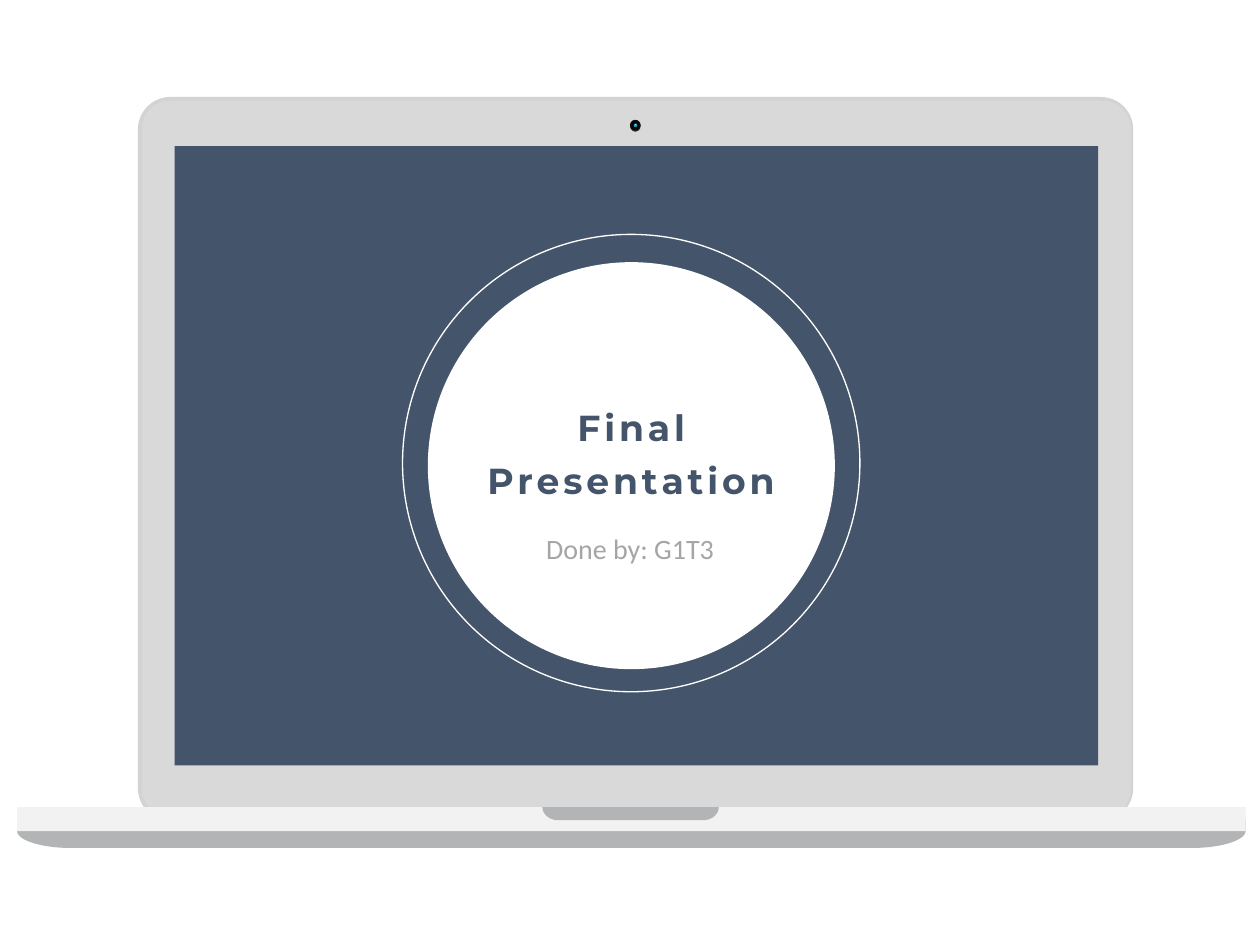
from math import cos, pi, sin

from pptx import Presentation
from pptx.dml.color import RGBColor
from pptx.enum.shapes import MSO_SHAPE
from pptx.enum.text import MSO_ANCHOR, MSO_AUTO_SIZE, PP_ALIGN
from pptx.util import Cm, Pt

COLORS = {
    "white": "FFFFFF",
    "navy": "44546A",
    "rim": "D2D3D5",
    "lid": "D9D9D9",
    "deck": "F2F2F2",
    "edge": "B3B4B5",
    "text": "A5A5A5",
    "bezel": "2C2C2C",
    "lens": "0A0A0A",
    "pupil": "000000",
    "glow": "2C99B4",
}


def color(name):
    return RGBColor.from_string(COLORS[name])


def paint(shape, fill):
    shape.shadow.inherit = False
    shape.fill.solid()
    shape.fill.fore_color.rgb = color(fill)
    shape.line.fill.background()


def block(slide, kind, box, fill, radius=0):
    shape = slide.shapes.add_shape(kind, *map(Cm, box))
    if radius:
        shape.adjustments[0] = radius / min(box[2:])
    paint(shape, fill)


def ring(slide, box, line, width):
    shape = slide.shapes.add_shape(MSO_SHAPE.OVAL, *map(Cm, box))
    shape.shadow.inherit = False
    shape.fill.background()
    shape.line.color.rgb = color(line)
    shape.line.width = Pt(width)


def tray(slide, left, top, width, height, bend, rise, fill, steps=24):
    right, base = left + width, top + height
    turns = [pi / 2 * step / steps for step in range(steps + 1)]
    curve = [(bend * (1 - cos(turn)), base - rise * (1 - sin(turn))) for turn in turns]
    points = [(left + x, y) for x, y in curve]
    points += [(right - x, y) for x, y in reversed(curve)]
    points.append((right, top))
    form = slide.shapes.build_freeform(Cm(left), Cm(top))
    form.add_line_segments([(Cm(x), Cm(y)) for x, y in points], close=True)
    paint(form.convert_to_shape(), fill)


def label(slide, holder, box, text, font, size, fill, bold=False, lead=None, track=0):
    slide.shapes.element.append(holder.element)
    holder.left, holder.top, holder.width, holder.height = map(Cm, box)
    frame = holder.text_frame
    frame.text = text
    frame.word_wrap = not lead
    frame.auto_size = MSO_AUTO_SIZE.NONE
    frame.vertical_anchor = MSO_ANCHOR.TOP
    for para in frame.paragraphs:
        para.alignment = PP_ALIGN.CENTER
        para.space_before = Pt(0)
        para.line_spacing = Pt(lead) if lead else 1.0
        for run in para.runs:
            run.font.name = font
            run.font.size = Pt(size)
            run.font.bold = bold
            run.font.color.rgb = color(fill)
            if track:
                run.font._element.set("spc", str(int(track * 100)))


def laptop(slide):
    rect, oval, soft = MSO_SHAPE.RECTANGLE, MSO_SHAPE.OVAL, MSO_SHAPE.ROUNDED_RECTANGLE
    tray(slide, 0.69, 33.02, 49.53, 1.17, 2.18, 0.69, "edge")
    block(slide, soft, (5.56, 3.91, 40.13, 29.18), "rim", 1.31)
    block(slide, soft, (5.72, 4.06, 39.88, 28.88), "lid", 1.15)
    block(slide, rect, (0.69, 32.54, 49.53, 0.97), "deck")
    tray(slide, 21.87, 32.54, 7.11, 0.53, 0.64, 0.53, "edge")
    block(slide, rect, (7.04, 5.89, 37.24, 24.97), "navy")
    block(slide, oval, (25.4, 4.85, 0.43, 0.46), "bezel")
    block(slide, oval, (25.4, 4.83, 0.43, 0.43), "lens")
    block(slide, oval, (25.48, 4.88, 0.25, 0.3), "pupil")
    block(slide, oval, (25.55, 4.98, 0.15, 0.15), "glow")
    block(slide, MSO_SHAPE.DIAMOND, (25.6, 5, 0.03, 0.05), "white")


def main():
    deck = Presentation()
    deck.slide_width, deck.slide_height = Cm(50.8), Cm(38.1)
    slide = deck.slides.add_slide(deck.slide_layouts[0])
    title, author = slide.placeholders
    laptop(slide)
    block(slide, MSO_SHAPE.OVAL, (17.25, 10.57, 16.41, 16.41), "white")
    label(slide, title, (19.25, 15.85, 12.4, 4.34), "Final\nPresentation",
          "Montserrat", 41.3, "navy", bold=True, lead=60, track=4.5)
    ring(slide, (16.23, 9.45, 18.44, 18.44), "white", 1.5)
    label(slide, author, (21.39, 21.31, 8.03, 1.63), "Done by: G1T3",
          "Calibri", 32, "text")
    deck.save("out.pptx")


if __name__ == "__main__":
    main()
